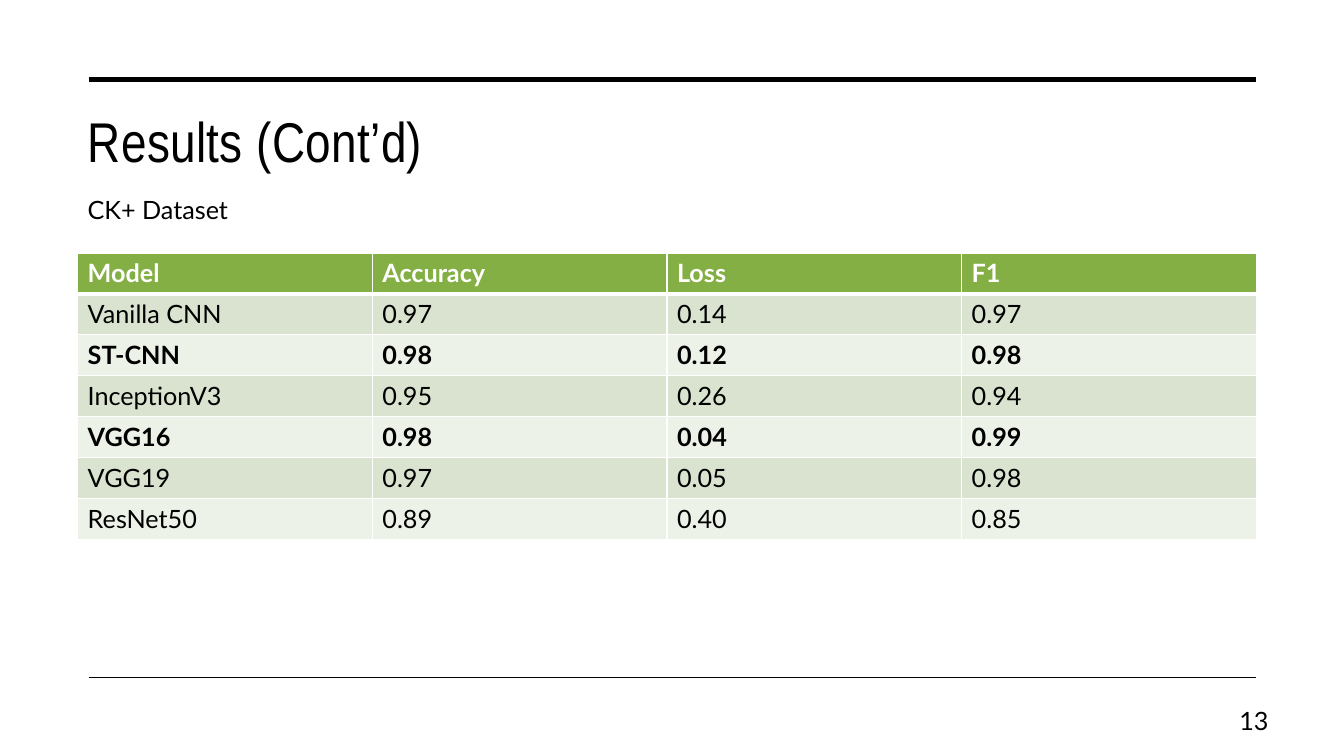
from dataclasses import dataclass

from lxml import etree
from pptx import Presentation
from pptx.dml.color import RGBColor
from pptx.enum.text import MSO_ANCHOR, MSO_AUTO_SIZE, PP_ALIGN
from pptx.oxml.ns import qn
from pptx.util import Inches, Pt

TOP, MIDDLE = MSO_ANCHOR.TOP, MSO_ANCHOR.MIDDLE
LEFT, RIGHT = PP_ALIGN.LEFT, PP_ALIGN.RIGHT
NO_FIT = MSO_AUTO_SIZE.NONE
TITLE_ONLY = 5


@dataclass(frozen=True)
class Theme:
    """Colours, fonts and sizes of the slide."""
    ink: str = "000000"
    paper: str = "FFFFFF"
    head: str = "83AF45"
    bands: tuple = ("D9E3CF", "EDF2E9")
    title_font: str = "Arial Narrow"
    body_font: str = "Lato"
    title_size: int = 40
    body_size: int = 18
    title_gap: int = 30


THEME = Theme()
HEADS = ("Model", "Accuracy", "Loss", "F1")
SCORES = (
    ("Vanilla CNN", "0.97", "0.14", "0.97"),
    ("ST-CNN", "0.98", "0.12", "0.98"),
    ("InceptionV3", "0.95", "0.26", "0.94"),
    ("VGG16", "0.98", "0.04", "0.99"),
    ("VGG19", "0.97", "0.05", "0.98"),
    ("ResNet50", "0.89", "0.40", "0.85"),
)
BEST = ("ST-CNN", "VGG16")


def color(code):
    """Turn a hex code into a colour."""
    return RGBColor.from_string(code)


def style(para, name=THEME.body_font, size=THEME.body_size, ink=THEME.ink, bold=False):
    """Set the font of a paragraph."""
    font = para.font
    font.name, font.size, font.bold = name, Pt(size), bold
    font.color.rgb = color(ink)


def add_rule(slide, left, top, width, weight):
    """Draw a level rule."""
    x, y = Inches(left), Inches(top)
    rule = slide.shapes.add_connector(1, x, y, x + Inches(width), y)
    rule.line.color.rgb = color(THEME.ink)
    rule.line.width = Pt(weight)
    etree.SubElement(rule.element.spPr, qn("a:effectLst"))


def add_title(slide, left, top, width, height, text):
    """Place and format the title."""
    title = slide.shapes.title
    title.left, title.top = Inches(left), Inches(top)
    title.width, title.height = Inches(width), Inches(height)
    frame = title.text_frame
    frame.text = text
    frame.auto_size, frame.vertical_anchor = NO_FIT, TOP
    para = frame.paragraphs[0]
    para.alignment = LEFT
    style(para, THEME.title_font, THEME.title_size)
    for run in title.element.iter(qn("a:r")):
        run.get_or_add_rPr().set("spc", str(THEME.title_gap))


def add_label(slide, left, top, width, height, text, align=LEFT, anchor=TOP):
    """Add one line of body text."""
    box = slide.shapes.add_textbox(Inches(left), Inches(top), Inches(width), Inches(height))
    frame = box.text_frame
    frame.word_wrap, frame.vertical_anchor = True, anchor
    frame.text = text
    para = frame.paragraphs[0]
    para.alignment = align
    style(para)


def add_edges(cell, above, below):
    """Draw the four borders of a cell."""
    props = cell._tc.get_or_add_tcPr()
    for side, weight in zip("LRTB", (1, 1, above, below)):
        edge = etree.SubElement(props, qn(f"a:ln{side}"), w=str(Pt(weight)))
        fill = etree.SubElement(edge, qn("a:solidFill"))
        etree.SubElement(fill, qn("a:srgbClr"), val=THEME.paper)


def add_scores(slide, left, top, width, height):
    """Add the table of model scores."""
    rows = (HEADS, *SCORES)
    frame = slide.shapes.add_table(len(rows), len(HEADS), Inches(left), Inches(top),
                                   Inches(width), Inches(height))
    table = frame.table
    for i, row in enumerate(rows):
        head = i == 0
        back = THEME.head if head else THEME.bands[(i - 1) % 2]
        ink = THEME.paper if head else THEME.ink
        for j, text in enumerate(row):
            cell = table.cell(i, j)
            cell.text = text
            style(cell.text_frame.paragraphs[0], ink=ink, bold=head or row[0] in BEST)
            add_edges(cell, 3 if i == 1 else 1, 3 if head else 1)
            cell.fill.solid()
            cell.fill.fore_color.rgb = color(back)


def add_results(deck):
    """Build the results slide."""
    slide = deck.slides.add_slide(deck.slide_layouts[TITLE_ONLY])
    left, width = 0.77, 11.69
    for top, weight in ((0.79, 3.5), (6.72, 1)):
        add_rule(slide, 0.88, top, 11.58, weight)
    add_title(slide, left, 1.01, width, 1.5, "Results (Cont’d)")
    add_scores(slide, left, 2.51, width, 2.84)
    add_label(slide, left, 1.88, 5.01, 0.4, "CK+ Dataset")
    add_label(slide, 11.94, 6.95, 0.74, 0.4, "13", RIGHT, MIDDLE)


def main():
    """Make and save the deck."""
    deck = Presentation()
    deck.slide_width, deck.slide_height = Inches(13.33), Inches(7.5)
    add_results(deck)
    deck.save("out.pptx")


if __name__ == "__main__":
    main()
